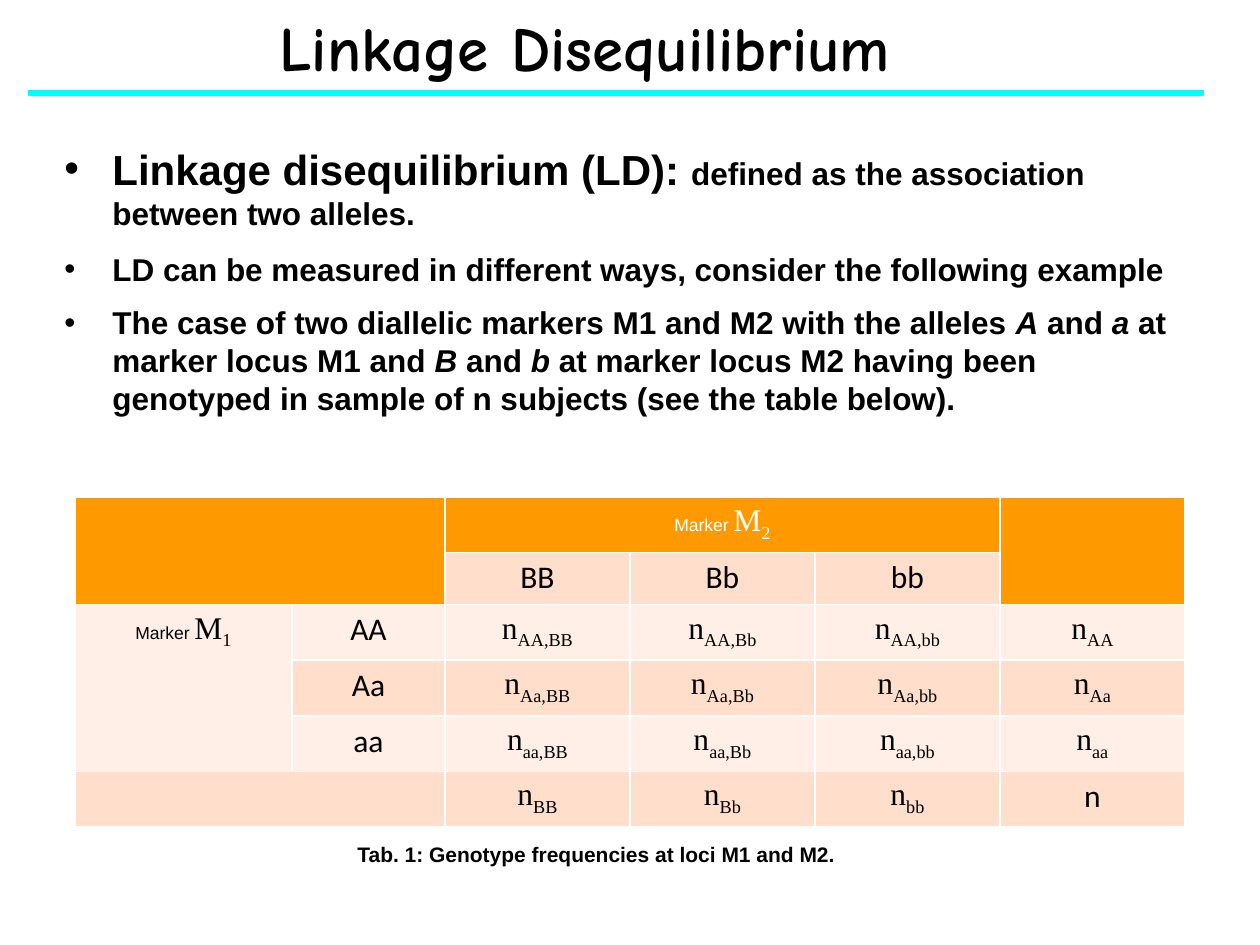
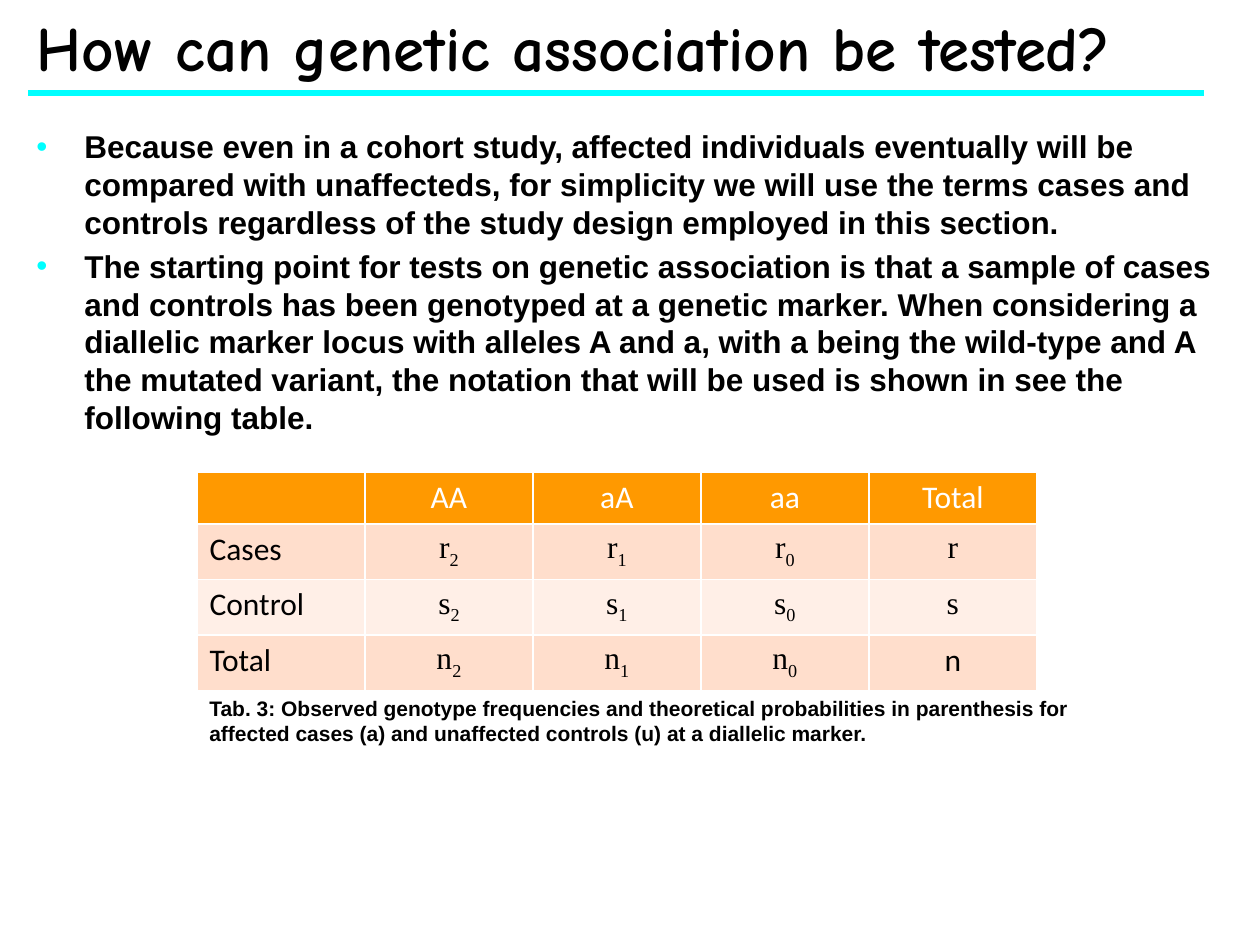
from lxml.etree import SubElement as Sub
from pptx import Presentation
from pptx.dml.color import RGBColor
from pptx.enum.shapes import MSO_CONNECTOR as Conn
from pptx.enum.text import MSO_ANCHOR as Anchor, MSO_AUTO_SIZE as Auto, PP_ALIGN as Align
from pptx.oxml.ns import qn
from pptx.util import Emu, Pt

BLACK, WHITE, CYAN, ORANGE = "000000", "FFFFFF", "00FFFF", "FF9900"
BANDS = ["FFEFE7", "FFDECC"]
SANS, SERIF, COMIC = "Arial", "Times New Roman", "Comic Neue"
ROW = 52
INDENT = 48

SLIDES = [
    {
        "title": "Linkage Disequilibrium",
        "head": (267, 11, 697, 82),
        "body": (52, 137, 1153, 330),
        "bullet": BLACK,
        "before": 0.25,
        "after": 0.25,
        "points": [
            [("Linkage disequilibrium (LD): ", 24),
             ("defined as the association between two alleles.", 18)],
            [("LD can be measured in different ways, consider the following example", 18)],
            [("The case of two diallelic markers M1 and M2 with the alleles *A* and *a* "
              "at marker locus M1 and *B* and *b* at marker locus M2 having been "
              "genotyped in sample of n subjects (see the table below).", 18)],
        ],
        "spot": (75, 497),
        "cols": [217, 153, 185, 185, 185, 185],
        "rows": [
            ["", "", "Marker M_2", "", "", ""],
            ["", "", "BB", "Bb", "bb", ""],
            ["Marker M_1", "AA", "n_AA,BB", "n_AA,Bb", "n_AA,bb", "n_AA"],
            ["", "Aa", "n_Aa,BB", "n_Aa,Bb", "n_Aa,bb", "n_Aa"],
            ["", "aa", "n_aa,BB", "n_aa,Bb", "n_aa,bb", "n_aa"],
            ["", "", "n_BB", "n_Bb", "n_bb", "n"],
        ],
        "spans": [(0, 0, 1, 1), (0, 2, 0, 4), (0, 5, 1, 5), (2, 0, 4, 0), (5, 0, 5, 1)],
        "left": [],
        "note": "Tab. 1: Genotype frequencies at loci M1 and M2.",
        "foot": (345, 835, 630, 38),
    },
    {
        "title": "How can genetic association be tested?",
        "head": (24, 11, 1250, 82),
        "body": (24, 121, 1216, 323),
        "bullet": CYAN,
        "before": 0.2,
        "after": 0,
        "points": [
            [("Because even in a cohort study, affected individuals eventually will be "
              "compared with unaffecteds, for simplicity we will use the terms cases and "
              "controls regardless of the study design employed in this section.", 18)],
            [("The starting point for tests on genetic association is that a sample of "
              "cases and controls has been genotyped at a genetic marker. When considering "
              "a diallelic marker locus with alleles A and a, with a being the wild-type "
              "and A the mutated variant, the notation that will be used is shown in see "
              "the following table.", 18)],
        ],
        "spot": (197, 472),
        "cols": [168] * 5,
        "rows": [
            ["", "AA", "aA", "aa", "Total"],
            ["Cases", "r_2", "r_1", "r_0", "r_"],
            ["Control", "s_2", "s_1", "s_0", "s_"],
            ["Total", "n_2", "n_1", "n_0", "n"],
        ],
        "spans": [],
        "left": [0],
        "note": "Tab. 3: Observed genotype frequencies and theoretical probabilities in "
                "parenthesis for affected cases (a) and unaffected controls (u) at a "
                "diallelic marker.",
        "foot": (197, 689, 885, 63),
    },
]


def px(n):
    return Emu(round(n * 914400 / 126))


def rgb(code):
    return RGBColor.from_string(code)


def style(run, size, face=SANS, color=BLACK, bold=True):
    font = run.font
    font.size, font.name, font.bold = Pt(size), face, bold
    font.color.rgb = rgb(color)


def add_run(para, text, *look):
    run = para.add_run()
    run.text = text
    style(run, *look)
    return run


def add_head(slide, text, box):
    head = slide.shapes.title
    head.left, head.top, head.width, head.height = map(px, box)
    frame = head.text_frame
    frame.text = text
    frame.word_wrap, frame.auto_size = True, Auto.NONE
    frame.vertical_anchor = Anchor.TOP
    para = frame.paragraphs[0]
    para.alignment, para.line_spacing = Align.LEFT, 0.9
    para.space_before = Pt(0)
    style(para.runs[0], 36, COMIC)
    rule = slide.shapes.add_connector(Conn.STRAIGHT, px(28), px(93), px(1204), px(93))
    rule.line.color.rgb, rule.line.width = rgb(CYAN), Pt(3)
    Sub(rule._element.spPr, qn("a:effectLst"))


def add_box(slide, box):
    frame = slide.shapes.add_textbox(*map(px, box)).text_frame
    frame.word_wrap = True
    return frame


def add_bullet(para, color):
    props = para._p.get_or_add_pPr()
    props.set("marL", str(px(INDENT)))
    props.set("indent", str(-px(INDENT)))
    Sub(Sub(props, qn("a:buClr")), qn("a:srgbClr"), val=color)
    Sub(props, qn("a:buFont"), typeface=SANS)
    Sub(props, qn("a:buChar"), char="•")


def add_body(slide, data):
    frame = add_box(slide, data["body"])
    for i, parts in enumerate(data["points"]):
        para = frame.add_paragraph() if i else frame.paragraphs[0]
        add_bullet(para, data["bullet"])
        size = parts[0][1]
        para.space_before = Pt(size * data["before"] if i else 0)
        para.space_after = Pt(size * data["after"])
        for text, size in parts:
            for k, bit in enumerate(text.split("*")):
                run = add_run(para, bit, size)
                run.font.italic = k % 2 == 1


def add_edges(cell):
    props = cell._tc.get_or_add_tcPr()
    for side in "LRTB":
        edge = Sub(props, qn("a:ln" + side), w=str(Pt(1)))
        Sub(Sub(edge, qn("a:solidFill")), qn("a:srgbClr"), val=WHITE)


def fill_cell(cell, text, color):
    para = cell.text_frame.paragraphs[0]
    stem, mark, low = text.partition("_")
    if not mark:
        cell.text_frame.text = text
        for run in para.runs:
            style(run, 10, SANS, color, False)
        return
    lead, gap, sign = stem.rpartition(" ")
    if lead:
        add_run(para, lead + gap, 10, SANS, color, False)
    add_run(para, sign, 18, SERIF, color, False)
    if low:
        run = add_run(para, low, 18, SERIF, color, False)
        run._r.get_or_add_rPr().set("baseline", "-25000")


def add_grid(slide, data):
    rows, cols = data["rows"], data["cols"]
    box = (*data["spot"], sum(cols), ROW * len(rows))
    grid = slide.shapes.add_table(len(rows), len(cols), *map(px, box)).table
    for c, wide in enumerate(cols):
        grid.columns[c].width = px(wide)
    for r, row in enumerate(rows):
        grid.rows[r].height = px(ROW)
        for c, text in enumerate(row):
            cell = grid.cell(r, c)
            add_edges(cell)
            cell.fill.solid()
            cell.fill.fore_color.rgb = rgb(BANDS[r % 2] if r else ORANGE)
            fill_cell(cell, text, BLACK if r else WHITE)
            side = Align.LEFT if c in data["left"] else Align.CENTER
            cell.text_frame.paragraphs[0].alignment = side
    for top, left, low, right in data["spans"]:
        grid.cell(top, left).merge(grid.cell(low, right))


def add_note(slide, text, box):
    frame = add_box(slide, box)
    frame.text = text
    style(frame.paragraphs[0].runs[0], 12)


def main():
    deck = Presentation()
    deck.slide_width, deck.slide_height = px(1260), px(945)
    for data in SLIDES:
        slide = deck.slides.add_slide(deck.slide_layouts[5])
        add_head(slide, data["title"], data["head"])
        add_body(slide, data)
        add_grid(slide, data)
        add_note(slide, data["note"], data["foot"])
    deck.save("out.pptx")


if __name__ == "__main__":
    main()
